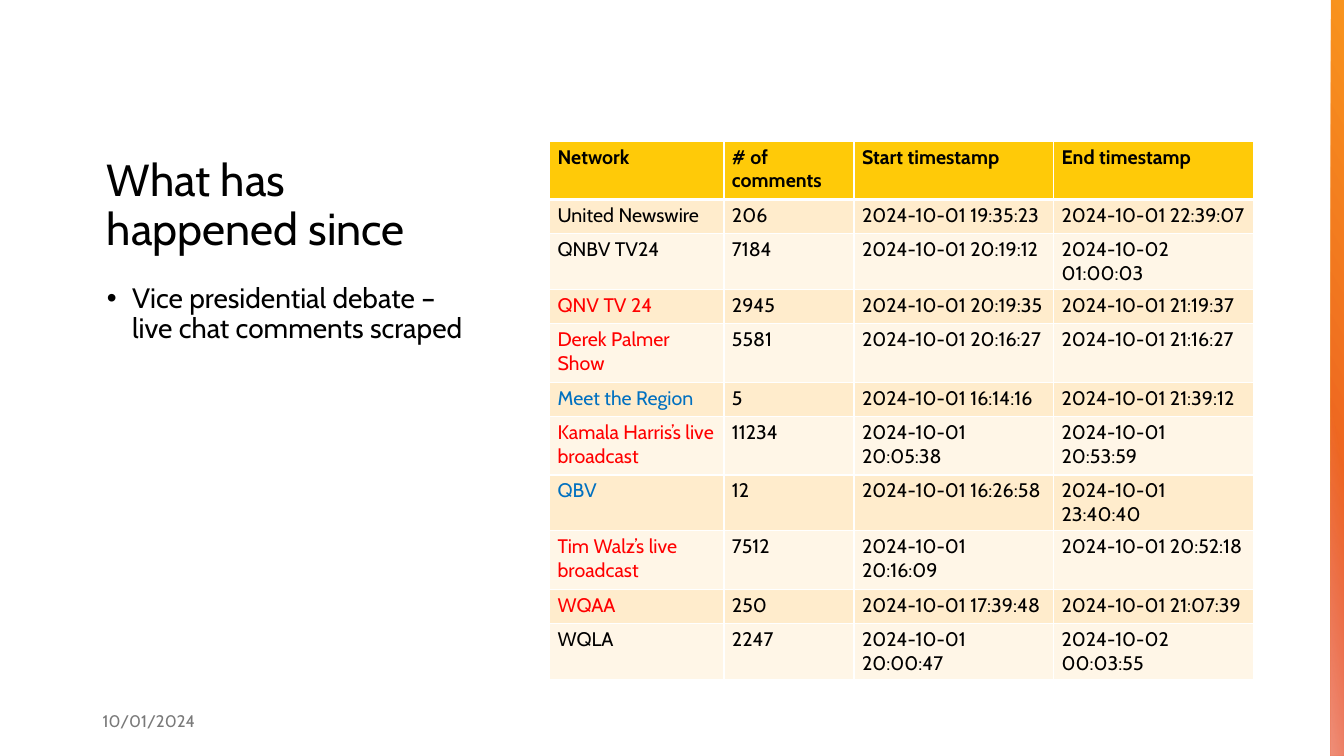
from lxml import etree
from pptx import Presentation
from pptx.dml.color import RGBColor
from pptx.enum.shapes import MSO_SHAPE
from pptx.enum.text import MSO_ANCHOR, MSO_AUTO_SIZE, PP_ALIGN
from pptx.oxml.ns import qn
from pptx.util import Inches, Pt

RECT = MSO_SHAPE.RECTANGLE
BOTTOM, MIDDLE, TOP = MSO_ANCHOR.BOTTOM, MSO_ANCHOR.MIDDLE, MSO_ANCHOR.TOP
LEFT, NO_FIT = PP_ALIGN.LEFT, MSO_AUTO_SIZE.NONE

WIDE, HIGH = 13.33, 7.5
FONT = "Cabin"
BLACK, WHITE, GREY = "000000", "FFFFFF", "797979"
RED, BLUE = "FF0000", "0070C0"
HEAD, BANDS = "FFCA08", ("FFECCC", "FFF6E7")

COLS = (1.73, 1.29, 1.98, 1.98)
LOW, TALL = 0.34, 0.58
ROWS = (
    ("Network", "# of comments", "Start timestamp", "End timestamp", BLACK, TALL),
    ("United Newswire", "206", "2024-10-01 19:35:23", "2024-10-01 22:39:07", BLACK, LOW),
    ("QNBV TV24", "7184", "2024-10-01 20:19:12", "2024-10-02 01:00:03", BLACK, LOW),
    ("QNV TV 24", "2945", "2024-10-01 20:19:35", "2024-10-01 21:19:37", RED, LOW),
    ("Derek Palmer Show", "5581", "2024-10-01 20:16:27", "2024-10-01 21:16:27", RED, TALL),
    ("Meet the Region", "5", "2024-10-01 16:14:16", "2024-10-01 21:39:12", BLUE, LOW),
    ("Kamala Harris’s live broadcast", "11234", "2024-10-01 20:05:38",
     "2024-10-01 20:53:59", RED, TALL),
    ("QBV", "12", "2024-10-01 16:26:58", "2024-10-01 23:40:40", BLUE, LOW),
    ("Tim Walz’s live broadcast", "7512", "2024-10-01 20:16:09",
     "2024-10-01 20:52:18", RED, TALL),
    ("WQAA", "250", "2024-10-01 17:39:48", "2024-10-01 21:07:39", RED, LOW),
    ("WQLA", "2247", "2024-10-01 20:00:47", "2024-10-02 00:03:55", BLACK, LOW),
)


def paint(hue):
    return RGBColor.from_string(hue)


def place(shape, box):
    shape.left, shape.top, shape.width, shape.height = map(Inches, box)


def write(frame, text, size, hue=BLACK, bold=False, anchor=TOP):
    frame.text = text
    frame.word_wrap = True
    frame.auto_size = NO_FIT
    frame.vertical_anchor = anchor
    para = frame.paragraphs[0]
    para.alignment = LEFT
    font = para.runs[0].font
    font.name, font.size, font.bold = FONT, Pt(size), bold
    font.color.rgb = paint(hue)
    return para


def add_hue(node, hue, alpha=100):
    tint = etree.SubElement(node, qn("a:srgbClr"), val=hue)
    if alpha < 100:
        etree.SubElement(tint, qn("a:alpha"), val=str(alpha * 1000))


# Title and bullet in the left column
def add_left(slide, box):
    left, top, width, height = box
    title, body = slide.shapes.title, slide.placeholders[1]
    place(title, (left, top, width, 1.77))
    para = write(title.text_frame, "What has happened since", 32, anchor=BOTTOM)
    para.line_spacing = 0.9

    place(body, (left, top + 1.96, width, height - 1.96))
    para = write(body.text_frame,
                 "Vice presidential debate – live chat comments scraped", 20)
    para.line_spacing, para.space_before = 0.9, Pt(10)
    props = para._p.get_or_add_pPr()
    props.set("marL", str(Inches(0.25)))
    props.set("indent", str(-Inches(0.25)))
    etree.SubElement(props, qn("a:buFont"), typeface="Arial")
    etree.SubElement(props, qn("a:buChar"), char="•")


# Date at the foot
def add_date(slide, box):
    frame = slide.shapes.add_textbox(*map(Inches, box)).text_frame
    para = write(frame, "10/01/2024", 12, GREY, anchor=MIDDLE)
    para.space_after = Pt(6)


# One gradient bar; stops are (position, colour, opacity) in percent
def add_bar(slide, box, angle, stops):
    bar = slide.shapes.add_shape(RECT, *map(Inches, box))
    bar.shadow.inherit = False
    bar.line.fill.background()
    bar.fill.gradient()
    props = bar._element.spPr
    props.find(qn("a:xfrm")).set("flipH", "1")
    grad = props.find(qn("a:gradFill"))
    for node in list(grad):
        grad.remove(node)
    group = etree.SubElement(grad, qn("a:gsLst"))
    for spot, hue, alpha in stops:
        stop = etree.SubElement(group, qn("a:gs"), pos=str(spot * 1000))
        add_hue(stop, hue, alpha)
    etree.SubElement(grad, qn("a:lin"), ang=str(angle * 60000), scaled="0")


# Colour strip along the right edge
def add_strip(slide, box):
    left, top, width, height = box
    add_bar(slide, box, 30, ((0, "F8931D", 100), (100, "E64823", 100)))
    glow = 3.64
    add_bar(slide, (left, top + height - glow, width, glow), 10,
            ((19, "F0917B", 0), (100, "F0917B", 100)))


def add_edges(cell, row):
    props = cell._tc.get_or_add_tcPr()
    thick = {0: "lnB", 1: "lnT"}.get(row)
    for side in ("lnL", "lnR", "lnT", "lnB"):
        width = Pt(3 if side == thick else 1)
        line = etree.SubElement(props, qn("a:" + side), w=str(width))
        add_hue(etree.SubElement(line, qn("a:solidFill")), WHITE)


# Table of networks
def add_grid(slide, box):
    frame = slide.shapes.add_table(len(ROWS), len(COLS), *map(Inches, box))
    table = frame.table
    for col, width in zip(table.columns, COLS):
        col.width = Inches(width)
    for row, (*texts, hue, height) in enumerate(ROWS):
        table.rows[row].height = Inches(height)
        for col, text in enumerate(texts):
            cell = table.cell(row, col)
            cell.margin_left = cell.margin_right = Inches(0.08)
            cell.margin_top = cell.margin_bottom = Inches(0.04)
            cell.text = text
            font = cell.text_frame.paragraphs[0].runs[0].font
            font.name, font.size, font.bold = FONT, Pt(14), row == 0
            font.color.rgb = paint(BLACK if col else hue)
            add_edges(cell, row)
            cell.fill.solid()
            cell.fill.fore_color.rgb = paint(BANDS[(row - 1) % 2] if row else HEAD)


def main():
    deck = Presentation()
    deck.slide_width, deck.slide_height = Inches(WIDE), Inches(HIGH)
    slide = deck.slides.add_slide(deck.slide_layouts[1])
    add_left(slide, (0.96, 0.81, 3.78, 5.73))
    add_date(slide, (0.92, 6.95, 3, 0.4))
    add_strip(slide, (WIDE - 0.13, 0, 0.13, HIGH))
    add_grid(slide, (5.45, 1.4, sum(COLS), sum(row[-1] for row in ROWS)))
    deck.save("out.pptx")


if __name__ == "__main__":
    main()
